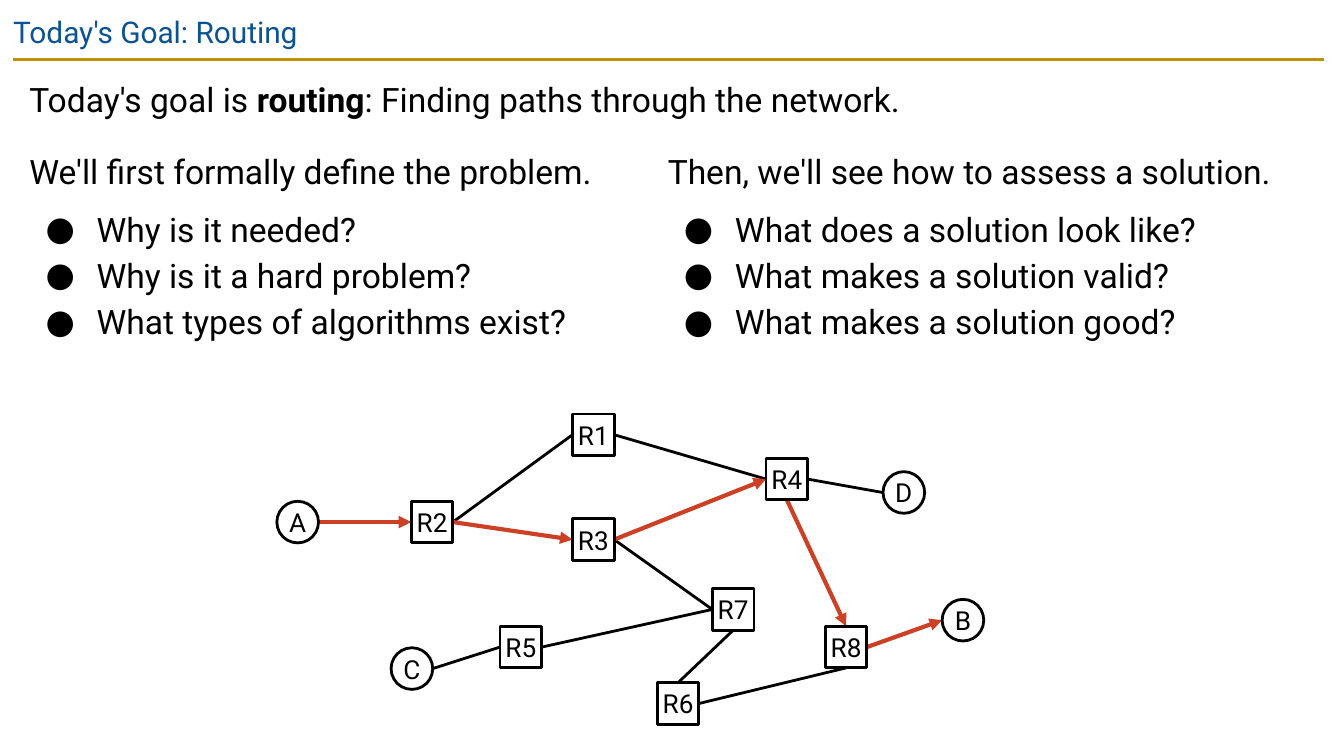
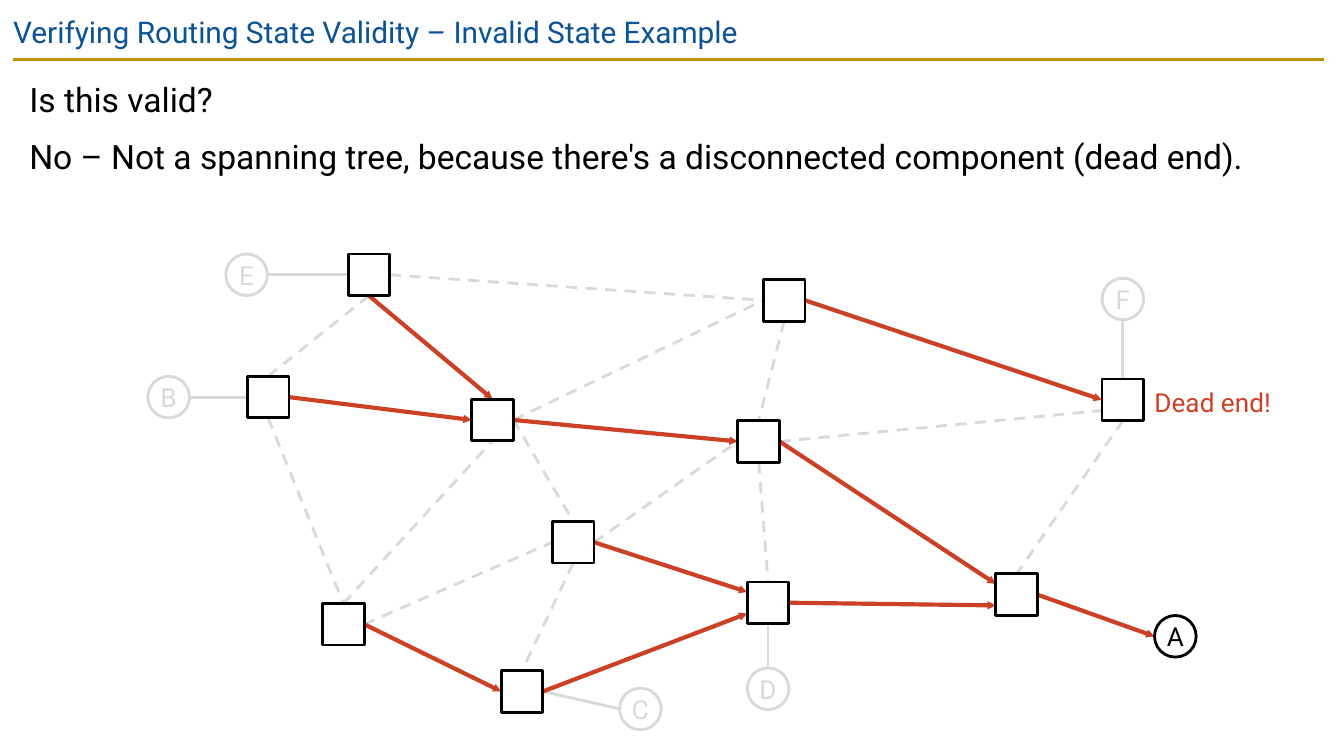
from dataclasses import dataclass
from typing import NamedTuple, Optional

from lxml import etree
from pptx import Presentation
from pptx.dml.color import RGBColor
from pptx.enum.dml import MSO_LINE
from pptx.enum.shapes import MSO_CONNECTOR, MSO_SHAPE
from pptx.enum.text import MSO_ANCHOR, PP_ALIGN
from pptx.oxml.ns import qn
from pptx.util import Inches, Pt

BLACK = RGBColor(0x00, 0x00, 0x00)
WHITE = RGBColor(0xFF, 0xFF, 0xFF)
GREY = RGBColor(0xD9, 0xD9, 0xD9)
RED = RGBColor(0xCC, 0x41, 0x25)
BLUE = RGBColor(0x0B, 0x53, 0x94)
GOLD = RGBColor(0xBF, 0x90, 0x00)

RECT, OVAL = MSO_SHAPE.RECTANGLE, MSO_SHAPE.OVAL
STRAIGHT = MSO_CONNECTOR.STRAIGHT
DASH = MSO_LINE.DASH
CENTER, MIDDLE = PP_ALIGN.CENTER, MSO_ANCHOR.MIDDLE

FONT = "Roboto"
SLIDE_WIDTH = Inches(10)
SLIDE_HEIGHT = SLIDE_WIDTH * 9 // 16
NODE = 0.31
SHIFT = 0.08
INSETS = ("margin_left", "margin_top", "margin_right", "margin_bottom")
TOP, LEFT, BOTTOM, RIGHT = range(4)
SIDE_OFFSETS = {TOP: (NODE / 2, 0), LEFT: (0, NODE / 2),
                BOTTOM: (NODE / 2, NODE), RIGHT: (NODE, NODE / 2)}


@dataclass(frozen=True)
class LineStyle:
    color: RGBColor
    width: float = 1.5
    dash: Optional[MSO_LINE] = None
    arrow: Optional[str] = None  # arrowhead size: "sm" or "med"


@dataclass(frozen=True)
class NodeStyle:
    shape: MSO_SHAPE
    color: RGBColor = BLACK
    labelled: bool = True


class Node(NamedTuple):
    name: str
    left: float
    top: float
    style: NodeStyle


class Link(NamedTuple):
    start: str
    start_side: int
    end: str
    end_side: int
    style: LineStyle
    shift: float = 0  # vertical distance of the end from the side's middle


class Para(NamedTuple):
    text: str  # parts between bars are bold
    before: float = 6
    bullet: bool = False


RULE = LineStyle(GOLD)
WIRE = LineStyle(BLACK)
ROUTE = LineStyle(RED, 2.25, arrow="med")
NEXT_HOP = LineStyle(RED, 2.25, arrow="sm")
UNUSED = LineStyle(GREY, dash=DASH)
ACCESS = LineStyle(GREY)

ROUTER = NodeStyle(RECT)
BARE_ROUTER = NodeStyle(RECT, labelled=False)
HOST = NodeStyle(OVAL)
FADED_HOST = NodeStyle(OVAL, GREY)

GOAL_NODES = [
    Node("A", 2.06, 3.73, HOST),
    Node("B", 7.01, 4.46, HOST),
    Node("C", 2.91, 4.82, HOST),
    Node("D", 6.57, 3.51, HOST),
    Node("R1", 4.26, 3.08, ROUTER),
    Node("R2", 3.06, 3.73, ROUTER),
    Node("R3", 4.26, 3.86, ROUTER),
    Node("R4", 5.7, 3.41, ROUTER),
    Node("R5", 3.72, 4.66, ROUTER),
    Node("R6", 4.89, 5.08, ROUTER),
    Node("R7", 5.3, 4.38, ROUTER),
    Node("R8", 6.14, 4.66, ROUTER),
]
GOAL_LINKS = [
    Link("R2", RIGHT, "R1", LEFT, WIRE),
    Link("R1", RIGHT, "R4", LEFT, WIRE),
    Link("R3", RIGHT, "R7", LEFT, WIRE),
    Link("R5", RIGHT, "R7", LEFT, WIRE),
    Link("C", RIGHT, "R5", LEFT, WIRE),
    Link("R7", BOTTOM, "R6", TOP, WIRE),
    Link("R8", BOTTOM, "R6", RIGHT, WIRE),
    Link("D", LEFT, "R4", RIGHT, WIRE),
    Link("A", RIGHT, "R2", LEFT, ROUTE),
    Link("R2", RIGHT, "R3", LEFT, ROUTE),
    Link("R3", RIGHT, "R4", LEFT, ROUTE),
    Link("R4", BOTTOM, "R8", TOP, ROUTE),
    Link("R8", RIGHT, "B", LEFT, ROUTE),
]

# Routers next to a host are named after it; the others by their place.
STATE_NODES = [
    Node("A", 8.59, 4.58, HOST),
    Node("B", 1.1, 2.8, FADED_HOST),
    Node("C", 4.61, 5.12, FADED_HOST),
    Node("D", 5.56, 4.97, FADED_HOST),
    Node("E", 1.68, 1.89, FADED_HOST),
    Node("F", 8.2, 2.07, FADED_HOST),
    Node("RA", 7.41, 4.27, BARE_ROUTER),
    Node("RB", 1.84, 2.8, BARE_ROUTER),
    Node("RC", 3.73, 4.99, BARE_ROUTER),
    Node("RD", 5.56, 4.33, BARE_ROUTER),
    Node("RE", 2.59, 1.89, BARE_ROUTER),
    Node("RF", 8.2, 2.82, BARE_ROUTER),
    Node("west", 3.51, 2.97, BARE_ROUTER),
    Node("southwest", 2.4, 4.49, BARE_ROUTER),
    Node("south", 4.11, 3.88, BARE_ROUTER),
    Node("north", 5.68, 2.08, BARE_ROUTER),
    Node("center", 5.49, 3.13, BARE_ROUTER),
]
STATE_LINKS = [
    Link("RE", BOTTOM, "RB", TOP, UNUSED),
    Link("RB", BOTTOM, "southwest", TOP, UNUSED),
    Link("north", BOTTOM, "center", TOP, UNUSED),
    Link("south", BOTTOM, "RC", TOP, UNUSED),
    Link("southwest", RIGHT, "south", LEFT, UNUSED),
    Link("southwest", TOP, "west", BOTTOM, UNUSED),
    Link("south", RIGHT, "center", LEFT, UNUSED),
    Link("center", RIGHT, "RF", LEFT, UNUSED, SHIFT),
    Link("RE", RIGHT, "north", LEFT, UNUSED),
    Link("west", RIGHT, "north", LEFT, UNUSED),
    Link("center", BOTTOM, "RD", TOP, UNUSED),
    Link("west", RIGHT, "south", TOP, UNUSED),
    Link("RF", BOTTOM, "RA", TOP, UNUSED),
    Link("RF", TOP, "F", BOTTOM, ACCESS),
    Link("E", RIGHT, "RE", LEFT, ACCESS),
    Link("B", RIGHT, "RB", LEFT, ACCESS),
    Link("RD", BOTTOM, "D", TOP, ACCESS),
    Link("RC", RIGHT, "C", LEFT, ACCESS),
    Link("RE", BOTTOM, "west", TOP, NEXT_HOP),
    Link("RB", RIGHT, "west", LEFT, NEXT_HOP),
    Link("west", RIGHT, "center", LEFT, NEXT_HOP),
    Link("center", RIGHT, "RA", LEFT, NEXT_HOP, -SHIFT),
    Link("north", RIGHT, "RF", LEFT, NEXT_HOP),
    Link("southwest", RIGHT, "RC", LEFT, NEXT_HOP),
    Link("south", RIGHT, "RD", LEFT, NEXT_HOP, -SHIFT),
    Link("RC", RIGHT, "RD", LEFT, NEXT_HOP, SHIFT),
    Link("RD", RIGHT, "RA", LEFT, NEXT_HOP, SHIFT),
    Link("RA", RIGHT, "A", LEFT, NEXT_HOP),
]


def set_format(target, values: dict) -> None:
    for name, value in values.items():
        setattr(target, name, value)


def add_run(p, text: str, size: float, color: RGBColor, bold: bool = False) -> None:
    r = p.add_run()
    r.text = text
    set_format(r.font, {"name": FONT, "size": Pt(size), "bold": bold})
    r.font.color.rgb = color


def add_bullet(p) -> None:
    pPr = p._p.get_or_add_pPr()
    pPr.set("marL", str(Inches(0.5)))
    pPr.set("indent", str(Inches(-0.38)))
    color = etree.SubElement(pPr, qn("a:buClr"))
    etree.SubElement(color, qn("a:srgbClr"), val=str(BLACK))
    etree.SubElement(pPr, qn("a:buFont"), typeface=FONT)
    etree.SubElement(pPr, qn("a:buChar"), char="●")


def add_text(s, box: tuple, paras: list[Para], size: float = 18,
             color: RGBColor = BLACK, inset: float = 0.1, spacing: float = 1.15) -> None:
    tf = s.shapes.add_textbox(*map(Inches, box)).text_frame
    set_format(tf, {"word_wrap": True, **dict.fromkeys(INSETS, Inches(inset))})
    for i, para in enumerate(paras):
        p = tf.add_paragraph() if i else tf.paragraphs[0]
        if para.bullet:
            add_bullet(p)
        set_format(p, {"line_spacing": spacing, "space_before": Pt(para.before if i else 0)})
        for j, part in enumerate(para.text.split("|")):
            add_run(p, part, size, color, bold=j % 2 == 1)


def add_line(s, start: tuple, end: tuple, style: LineStyle):
    c = s.shapes.add_connector(STRAIGHT, *map(Inches, (*start, *end)))
    c.line.color.rgb = style.color
    c.line.width = Pt(style.width)
    if style.dash:
        c.line.dash_style = style.dash
    if style.arrow:
        etree.SubElement(c.line._get_or_add_ln(), qn("a:tailEnd"),
                         type="triangle", w=style.arrow, len=style.arrow)
    etree.SubElement(c._element.spPr, qn("a:effectLst"))
    return c


def add_node(s, node: Node):
    sp = s.shapes.add_shape(node.style.shape, *map(Inches, (node.left, node.top, NODE, NODE)))
    sp.shadow.inherit = False
    sp.fill.solid()
    sp.fill.fore_color.rgb = WHITE
    sp.line.color.rgb = node.style.color
    sp.line.width = Pt(1.5)
    if node.style.labelled:
        tf = sp.text_frame
        set_format(tf, {"word_wrap": False, "vertical_anchor": MIDDLE,
                        **dict.fromkeys(INSETS, 0)})
        p = tf.paragraphs[0]
        p.alignment = CENTER
        add_run(p, node.name, 14, node.style.color)
    return sp


def port(node: Node, side: int, shift: float = 0) -> tuple:
    """Point at the middle of a node's side, moved down by shift."""
    dx, dy = SIDE_OFFSETS[side]
    return node.left + dx, node.top + dy + shift


def add_network(s, nodes: list[Node], links: list[Link]) -> None:
    """Draw the nodes, with the links joined to them and lying behind."""
    by_name = {node.name: node for node in nodes}
    shapes = {node.name: add_node(s, node) for node in nodes}
    lowest = shapes[nodes[0].name].element
    for link in links:
        start, end = by_name[link.start], by_name[link.end]
        c = add_line(s, port(start, link.start_side),
                     port(end, link.end_side, link.shift), link.style)
        if start.style.shape == RECT:
            c.begin_connect(shapes[link.start], link.start_side)
        if end.style.shape == RECT and not link.shift:
            c.end_connect(shapes[link.end], link.end_side)
        lowest.addprevious(c.element)


def add_slide(prs, title: str):
    s = prs.slides.add_slide(prs.slide_layouts[6])
    add_line(s, (0.1, 0.44), (9.85, 0.44), RULE)
    add_text(s, (0, 0, 10, 0.43), [Para(title)], 16, BLUE, spacing=1.0)
    return s


def add_question_list(s, left: float, heading: str, questions: list[str]) -> None:
    bullets = [Para(q, 0 if i else 6, True) for i, q in enumerate(questions)]
    add_text(s, (left, 0.98, 4.71, 1.63), [Para(heading), *bullets])


def build_goal(prs) -> None:
    s = add_slide(prs, "Today's Goal: Routing")
    add_text(s, (0.12, 0.44, 9.74, 4.95),
             [Para("Today's goal is |routing|: Finding paths through the network.")])
    add_network(s, GOAL_NODES, GOAL_LINKS)
    add_question_list(s, 0.12, "We'll first formally define the problem.", [
        "Why is it needed?", "Why is it a hard problem?", "What types of algorithms exist?"])
    add_question_list(s, 4.87, "Then, we'll see how to assess a solution.", [
        "What does a solution look like?", "What makes a solution valid?",
        "What makes a solution good?"])


def build_invalid_state(prs) -> None:
    s = add_slide(prs, "Verifying Routing State Validity – Invalid State Example")
    add_text(s, (0.12, 0.44, 9.74, 1.13), [
        Para("Is this valid?"),
        Para("No – Not a spanning tree, because there's a disconnected component (dead end).")])
    add_network(s, STATE_NODES, STATE_LINKS)
    add_text(s, (8.59, 2.84, 0.93, 0.24), [Para("Dead end!")], 14, RED, inset=0)


def main() -> None:
    prs = Presentation()
    set_format(prs, {"slide_width": SLIDE_WIDTH, "slide_height": SLIDE_HEIGHT})
    build_goal(prs)
    build_invalid_state(prs)
    prs.save("out.pptx")


if __name__ == "__main__":
    main()
